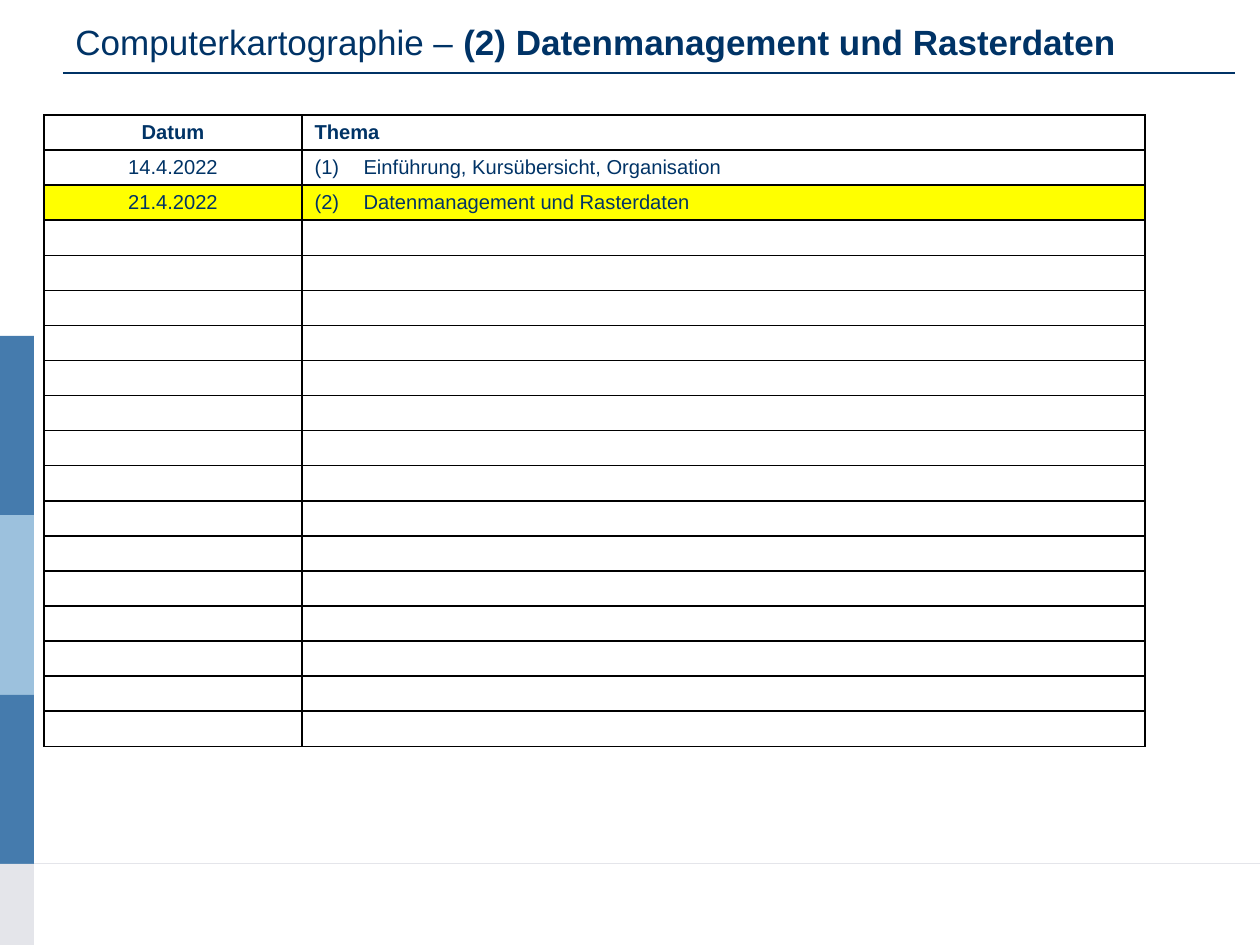
from lxml import etree
from pptx import Presentation
from pptx.dml.color import RGBColor
from pptx.enum.shapes import MSO_CONNECTOR, MSO_SHAPE
from pptx.enum.text import MSO_ANCHOR, PP_ALIGN
from pptx.oxml.ns import qn
from pptx.util import Pt

PX = 914400 // 126
NAVY = RGBColor(0x00, 0x33, 0x66)
BLUE = RGBColor(0x45, 0x7B, 0xAD)
SKY = RGBColor(0x9C, 0xC1, 0xDD)
GRAY = RGBColor(0xE4, 0xE5, 0xEA)
YELLOW = RGBColor(0xFF, 0xFF, 0x00)
BLACK = RGBColor(0x00, 0x00, 0x00)
FONT = "Arial"
RECT = MSO_SHAPE.RECTANGLE
STRAIGHT = MSO_CONNECTOR.STRAIGHT
MIDDLE = MSO_ANCHOR.MIDDLE
CENTER, LEFT = PP_ALIGN.CENTER, PP_ALIGN.LEFT

BANDS = [(336, 515, BLUE), (515, 695, SKY), (695, 864, BLUE), (864, 945, GRAY)]
ROWS = [
    ("Datum", "Thema"),
    ("14.4.2022", "(1)\tEinführung, Kursübersicht, Organisation"),
    ("21.4.2022", "(2)\tDatenmanagement und Rasterdaten"),
]
COUNT = 18
CURRENT = 2
COLS = (258, 843)
SIZE = 11.5


def px(*nums):
    return [num * PX for num in nums]


def add_rule(slide, x1, x2, y, color, width):
    rule = slide.shapes.add_connector(STRAIGHT, *px(x1, y, x2, y))
    rule.line.color.rgb = color
    rule.line.width = Pt(width)
    etree.SubElement(rule._element.spPr, qn("a:effectLst"))


def add_band(slide, top, end, color):
    band = slide.shapes.add_shape(RECT, *px(0, top, 34, end - top))
    band.shadow.inherit = False
    band.fill.solid()
    band.fill.fore_color.rgb = color
    band.line.fill.background()


def add_run(para, text, size, bold=False):
    run = para.add_run()
    run.text = text
    font = run.font
    font.name, font.size, font.bold = FONT, Pt(size), bold
    font.color.rgb = NAVY


def add_title(slide):
    frame = slide.shapes.add_textbox(*px(63, 6, 1134, 70)).text_frame
    frame.word_wrap = True
    frame.vertical_anchor = MIDDLE
    para = frame.paragraphs[0]
    add_run(para, "Computerkartographie – ", 20)
    add_run(para, "(2) Datenmanagement und Rasterdaten", 20, True)


def set_border(cell):
    props = cell._tc.get_or_add_tcPr()
    for pos, side in enumerate(("lnL", "lnR", "lnT", "lnB")):
        line = etree.Element(qn(f"a:{side}"), w=str(Pt(1)))
        fill = etree.SubElement(line, qn("a:solidFill"))
        etree.SubElement(fill, qn("a:srgbClr"), val=str(BLACK))
        props.insert(pos, line)


def fill_cell(cell, text, row, col):
    cell.margin_top = cell.margin_bottom = 0
    cell.vertical_anchor = MIDDLE
    if row == CURRENT:
        cell.fill.solid()
        cell.fill.fore_color.rgb = YELLOW
    else:
        cell.fill.background()
    set_border(cell)
    para = cell.text_frame.paragraphs[0]
    para.alignment = LEFT if col else CENTER
    if "\t" in text:
        hang = 49 * PX
        props = para._p.get_or_add_pPr()
        props.set("marL", str(hang))
        props.set("indent", str(-hang))
    if text:
        add_run(para, text, SIZE, row == 0)
    else:
        # An empty cell takes its line height from the end mark.
        para._p.get_or_add_endParaRPr().set("sz", str(int(SIZE * 100)))


def add_plan(slide):
    frame = slide.shapes.add_table(COUNT, len(COLS), *px(44, 115, sum(COLS), 632))
    table = frame.table
    table.first_row = table.horz_banding = False
    for col, width in enumerate(COLS):
        table.columns[col].width = width * PX
    for row in range(COUNT):
        texts = ROWS[row] if row < len(ROWS) else ("", "")
        for col, text in enumerate(texts):
            fill_cell(table.cell(row, col), text, row, col)


def main():
    deck = Presentation()
    deck.slide_width, deck.slide_height = px(1260, 945)
    slide = deck.slides.add_slide(deck.slide_layouts[6])
    add_rule(slide, 0, 1260, 864, GRAY, 0.5)
    for band in BANDS:
        add_band(slide, *band)
    add_title(slide)
    add_rule(slide, 63, 1235, 73, NAVY, 0.75)
    add_plan(slide)
    deck.save("out.pptx")


if __name__ == "__main__":
    main()
